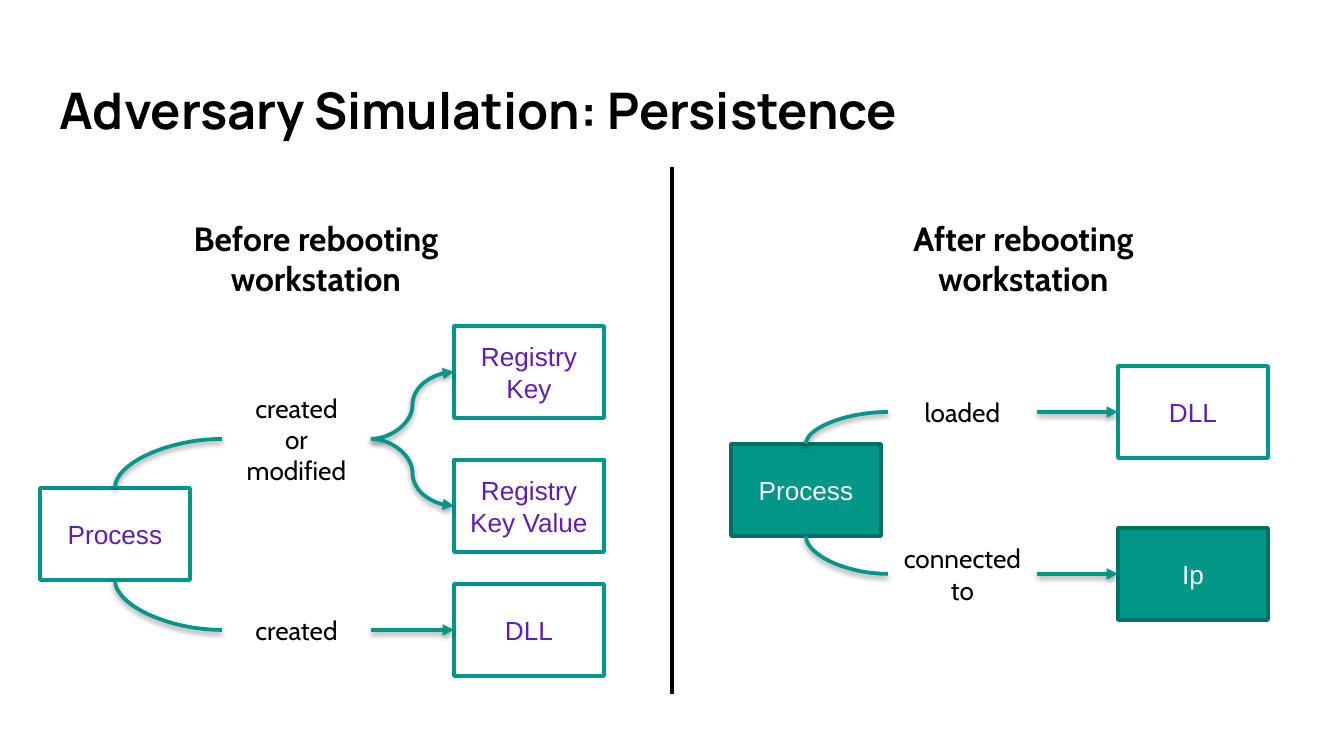
from lxml import etree
from pptx import Presentation
from pptx.dml.color import RGBColor
from pptx.enum.shapes import MSO_CONNECTOR as Connector, MSO_SHAPE as Shape
from pptx.enum.text import MSO_ANCHOR as Anchor, PP_ALIGN as Align
from pptx.oxml import parse_xml
from pptx.oxml.ns import nsdecls, qn
from pptx.util import Emu, Inches, Pt

# Content: vertical positions are centres, in px
TITLE = "Adversary Simulation: Persistence"
SIDES = [
    {
        "heading": ("Before rebooting workstation", 175, 282),
        "process": ("Process", 40, 534, "plain"),
        "label_x": 222,
        "target_x": 454,
        "branches": [
            ("created\nor modified", 439, [("Registry Key", 372, "plain"),
                                          ("Registry Key Value", 506, "plain")]),
            ("created", 630, [("DLL", 630, "plain")]),
        ],
    },
    {
        "heading": ("After rebooting workstation", 888, 271),
        "process": ("Process", 731, 490, "solid"),
        "label_x": 888,
        "target_x": 1118,
        "branches": [
            ("loaded", 412, [("DLL", 412, "plain")]),
            ("connected to", 574, [("Ip", 574, "solid")]),
        ],
    },
]
COLORS = {"black": "000000", "white": "FFFFFF", "teal": "009688",
          "dark": "006F65", "purple": "611BB8"}
STYLES = {"plain": ("white", "teal", "purple"),  # fill, line, text
          "solid": ("teal", "dark", "white")}

# Layout
PX = 914400 / 134.4
BOX_W, BOX_H = 150, 92
LABEL_W, LABEL_H = 149, 36

SHADOW = (f'<a:effectLst {nsdecls("a")}><a:outerShdw blurRad="40000" dist="20000" '
          'dir="5400000" rotWithShape="0"><a:srgbClr val="000000">'
          '<a:alpha val="38000"/></a:srgbClr></a:outerShdw></a:effectLst>')

presentation = Presentation()
presentation.slide_width = Inches(10)
presentation.slide_height = Inches(5.625)
slide = presentation.slides.add_slide(presentation.slide_layouts[6])


def px(*values):
    return [Emu(round(value * PX)) for value in values]


def color(name):
    return RGBColor.from_string(COLORS[name])


def write(shape, text, font, size, ink, bold=False, align=Align.CENTER, anchor=Anchor.MIDDLE):
    frame = shape.text_frame
    frame.word_wrap = True
    frame.vertical_anchor = anchor
    frame.margin_left = frame.margin_right = Inches(0.1)
    frame.margin_top = frame.margin_bottom = Inches(0.1)
    paragraph = frame.paragraphs[0]
    paragraph.text = text
    paragraph.alignment = align
    paragraph.font.name = font
    paragraph.font.size = Pt(size)
    paragraph.font.bold = bold
    paragraph.font.color.rgb = color(ink)


def add_text(x, y, width, height, *args, **options):
    write(slide.shapes.add_textbox(*px(x, y, width, height)), *args, **options)


def add_box(text, x, middle, style):
    fill, line, ink = STYLES[style]
    shape = slide.shapes.add_shape(Shape.RECTANGLE, *px(x, middle - BOX_H / 2, BOX_W, BOX_H))
    shape.shadow.inherit = False
    shape.fill.solid()
    shape.fill.fore_color.rgb = color(fill)
    shape.line.color.rgb = color(line)
    shape.line.width = Pt(2)
    write(shape, text, "Arial", 14, ink)


def add_line(start, end, preset="line", ink="teal", width=2, arrow=False, shadow=True):
    kind = Connector.STRAIGHT if preset == "line" else Connector.CURVE
    connector = slide.shapes.add_connector(kind, *px(*start, *end))
    connector.line.color.rgb = color(ink)
    connector.line.width = Pt(width)
    properties = connector._element.spPr
    properties.find(qn("a:prstGeom")).set("prst", preset)
    if arrow:
        etree.SubElement(properties.find(qn("a:ln")), qn("a:tailEnd"), type="triangle")
    properties.append(parse_xml(SHADOW if shadow else f'<a:effectLst {nsdecls("a")}/>'))


# Title and divider
add_text(46, 66, 1252, 91, TITLE, "Manrope", 27, "black", bold=True,
         align=Align.LEFT, anchor=Anchor.TOP)
add_line((672, 167), (672, 694), ink="black", width=2.25, shadow=False)

# One graph per side: process, labelled branches, targets
for side in SIDES:
    heading, heading_x, heading_w = side["heading"]
    add_text(heading_x, 213, heading_w, 90, heading, "Cabin", 18, "black", bold=True)

    add_box(*side["process"])
    _, process_x, process_y, _ = side["process"]
    label_x, target_x = side["label_x"], side["target_x"]

    for label, label_y, targets in side["branches"]:
        add_text(label_x, label_y - LABEL_H / 2, LABEL_W, LABEL_H, label, "Cabin", 14, "black")
        edge = process_y + (BOX_H / 2 if label_y > process_y else -BOX_H / 2)
        add_line((label_x, label_y), (process_x + BOX_W / 2, edge), "curvedConnector2")
        for target, target_y, style in targets:
            add_box(target, target_x, target_y, style)
            preset = "line" if target_y == label_y else "curvedConnector3"
            add_line((label_x + LABEL_W, label_y), (target_x, target_y), preset, arrow=True)

presentation.save("out.pptx")
